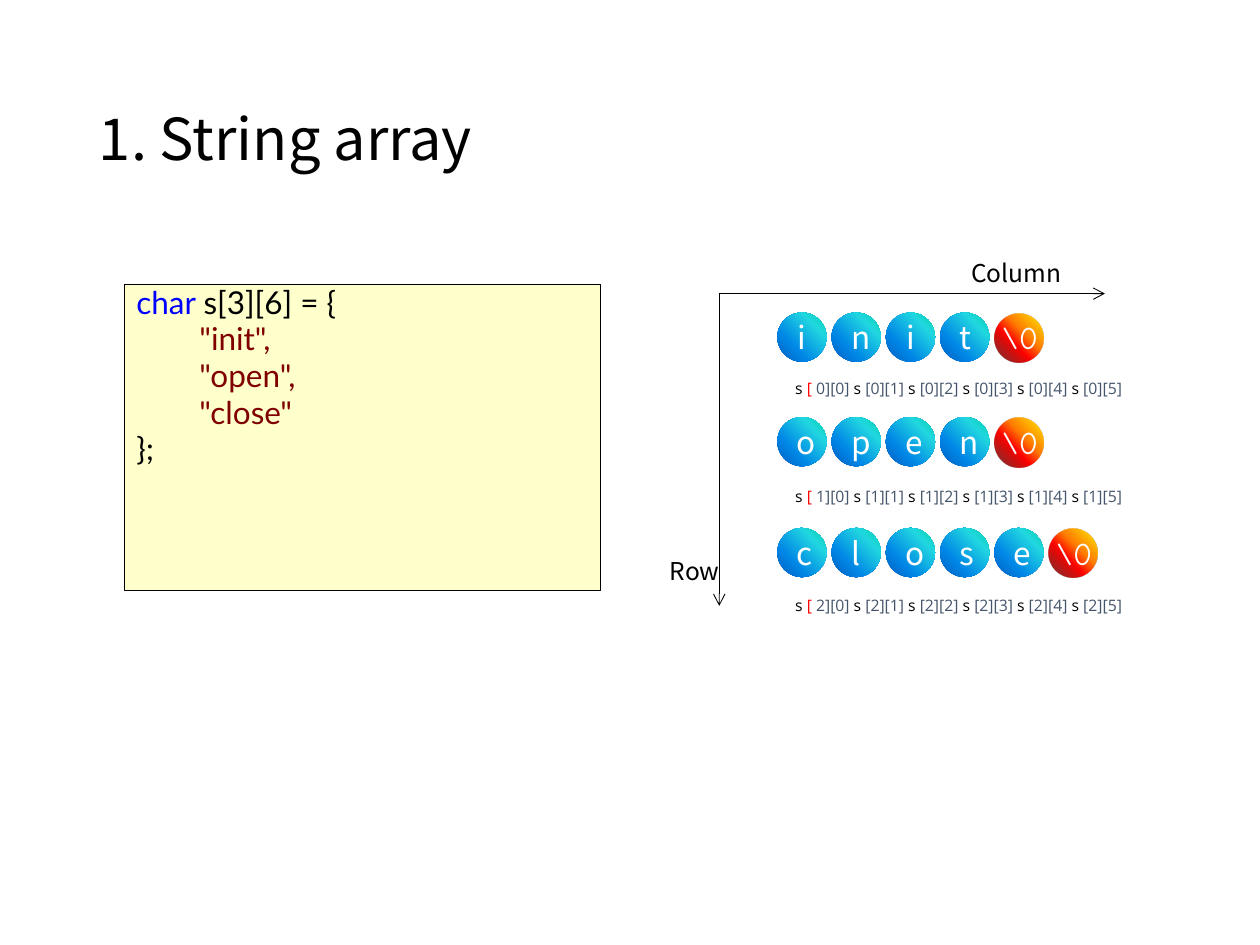
import dataclasses

import pptx
import pptx.dml.color
import pptx.enum.shapes
import pptx.enum.text
import pptx.oxml
import pptx.oxml.ns
import pptx.util

Pt = pptx.util.Pt
Anchor = pptx.enum.text.MSO_ANCHOR
Align = pptx.enum.text.PP_ALIGN
Shape = pptx.enum.shapes.MSO_SHAPE


@dataclasses.dataclass(frozen=True)
class Theme:
    heading_font: str = "Noto Sans CJK KR"
    code_font: str = "Lato"
    index_font: str = "Open Sans"
    null_font: str = "Comic Neue"
    title_size: float = 33
    body_size: float = 18
    axis_size: float = 14
    index_size: float = 9
    ink: str = "000000"
    light: str = "FFFFFF"
    code_fill: str = "FFFFCC"
    keyword: str = "0000FF"
    literal: str = "800000"
    bracket: str = "FF0000"
    index: str = "44546A"
    letter_stops: tuple = ((0, "03D4A8", 100), (25, "21D6E0", 100),
                           (68, "0087E6", 100), (100, "005CBF", 100))
    null_stops: tuple = ((0, "FFF200", 100), (40, "FF7A00", 100),
                         (60, "FF0300", 100), (100, "4D0808", 80))


THEME = Theme()
BALL = 28.1
PITCH = 31
FIRST_LEFT = 444.2
WORDS = (("init", 178.6, 213.1), ("open", 238.3, 274.3), ("close", 301.7, 337))


def rgb(code):
    return pptx.dml.color.RGBColor.from_string(code)


def write_runs(paragraph, runs, font, size):
    paragraph.font.name = font
    paragraph.font.size = Pt(size)
    for wording, color in runs:
        run = paragraph.add_run()
        run.text = wording
        run.font.color.rgb = rgb(color)


def add_label(slide, box, runs, font, size, anchor=Anchor.TOP):
    label = slide.shapes.add_textbox(*map(Pt, box))
    label.text_frame.word_wrap = True
    label.text_frame.vertical_anchor = anchor
    paragraph = label.text_frame.paragraphs[0]
    write_runs(paragraph, runs, font, size)
    return paragraph


def add_code(slide, box, lines):
    listing = slide.shapes.add_shape(Shape.RECTANGLE, *map(Pt, box))
    listing.shadow.inherit = False
    listing.fill.solid()
    listing.fill.fore_color.rgb = rgb(THEME.code_fill)
    listing.line.color.rgb = rgb(THEME.ink)
    listing.line.width = Pt(0.25)
    frame = listing.text_frame
    frame.vertical_anchor = Anchor.TOP
    for number, (level, runs) in enumerate(lines):
        paragraph = frame.add_paragraph() if number else frame.paragraphs[0]
        properties = paragraph._p.get_or_add_pPr()
        properties.set("marL", str(Pt(27 + 36 * level)))
        properties.set("indent", str(Pt(-27)))
        paragraph.level = level
        paragraph.alignment = Align.LEFT
        paragraph.line_spacing = 0.8
        if number:
            paragraph.space_before = Pt(3.6)
        write_runs(paragraph, runs, THEME.code_font, THEME.body_size)


def add_ball(slide, left, top, stops):
    ball = slide.shapes.add_shape(Shape.OVAL, Pt(left), Pt(top), Pt(BALL), Pt(BALL))
    ball.shadow.inherit = False
    ball.line.fill.background()
    stop_xml = "".join(
        f'<a:gs pos="{position * 1000}"><a:srgbClr val="{color}">'
        + (f'<a:alpha val="{opacity * 1000}"/>' if opacity < 100 else "")
        + "</a:srgbClr></a:gs>"
        for position, color, opacity in stops)
    gradient = pptx.oxml.parse_xml(
        f'<a:gradFill {pptx.oxml.ns.nsdecls("a")} rotWithShape="1">'
        f'<a:gsLst>{stop_xml}</a:gsLst><a:path path="circle">'
        '<a:fillToRect l="100000" b="100000"/></a:path></a:gradFill>')
    ball._element.spPr.insert(2, gradient)
    return ball


def add_letter(slide, letter, left, top):
    ball = add_ball(slide, left, top, THEME.letter_stops)
    ball.text_frame.vertical_anchor = Anchor.MIDDLE
    paragraph = ball.text_frame.paragraphs[0]
    paragraph.alignment = Align.CENTER
    write_runs(paragraph, [(letter, THEME.light)], THEME.heading_font, THEME.body_size)


def add_terminator(slide, left, top):
    add_ball(slide, left, top, THEME.null_stops)
    add_label(slide, (left - 2.9, top - 0.7, 36.7, 28.8), [("\\0", THEME.light)],
              THEME.null_font, THEME.body_size)


def add_word(slide, row, word, top, index_top):
    for column, letter in enumerate(word):
        add_letter(slide, letter, FIRST_LEFT + column * PITCH, top)
    add_terminator(slide, FIRST_LEFT + len(word) * PITCH, top + 0.5)
    runs = [("s ", THEME.ink), ("[ ", THEME.bracket), (f"{row}][0] ", THEME.index)]
    for column in range(1, 6):
        gap = " " if column < 5 else ""
        runs += [("s ", THEME.ink), (f"[{row}][{column}]{gap}", THEME.index)]
    add_label(slide, (447.3, index_top, 215, 18), runs,
              THEME.index_font, THEME.index_size)


def add_axis(slide, start, end):
    axis = slide.shapes.add_connector(
        pptx.enum.shapes.MSO_CONNECTOR.STRAIGHT, *map(Pt, start + end))
    axis.line.color.rgb = rgb(THEME.ink)
    axis.line.width = Pt(0.5)
    namespace = pptx.oxml.ns.nsdecls("a")
    axis.line._get_or_add_ln().append(
        pptx.oxml.parse_xml(f'<a:tailEnd {namespace} type="arrow"/>'))
    axis._element.spPr.append(pptx.oxml.parse_xml(f"<a:effectLst {namespace}/>"))


def main():
    """Build the string array slide and save it."""
    deck = pptx.Presentation()
    deck.slide_width, deck.slide_height = Pt(720), Pt(540)
    slide = deck.slides.add_slide(deck.slide_layouts[6])

    title = add_label(slide, (49.5, 28.8, 621, 104.4), [("1. String array", THEME.ink)],
                      THEME.heading_font, THEME.title_size, Anchor.MIDDLE)
    title.line_spacing = 0.9

    add_code(slide, (70.9, 162.3, 272, 175), [
        (0, [("char ", THEME.keyword), ("s[3][6] = {", THEME.ink)]),
        (1, [('"init",', THEME.literal)]),
        (1, [('"open",', THEME.literal)]),
        (1, [('"close"', THEME.literal)]),
        (0, [("};", THEME.ink)]),
    ])

    for row, (word, top, index_top) in enumerate(WORDS):
        add_word(slide, row, word, top, index_top)

    origin = (411, 167.8)
    add_axis(slide, origin, (631.4, 167.8))
    add_axis(slide, origin, (411, 346.2))
    for name, box in (("Column", (547.9, 144, 78.5, 24.5)),
                      ("Row", (375.6, 314, 46.8, 24.5))):
        add_label(slide, box, [(name, THEME.ink)], THEME.heading_font, THEME.axis_size)

    deck.save("out.pptx")


if __name__ == "__main__":
    main()
